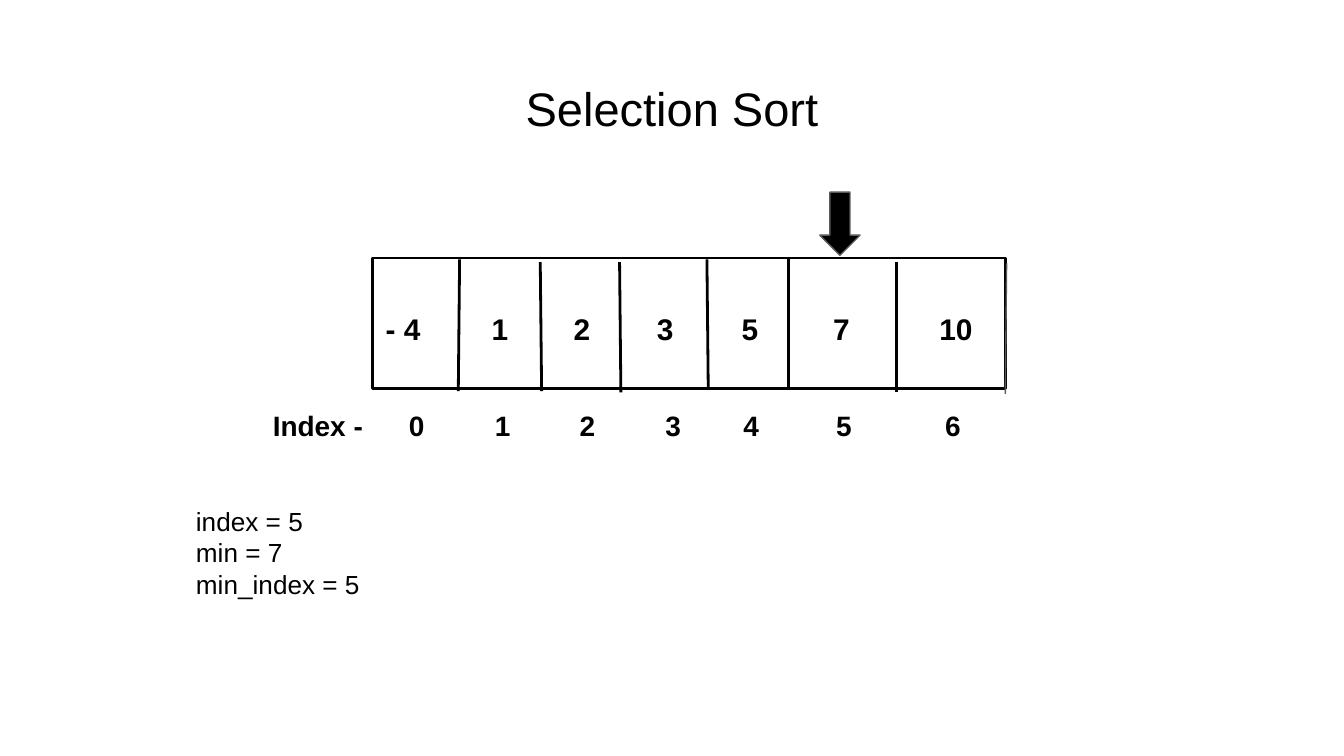
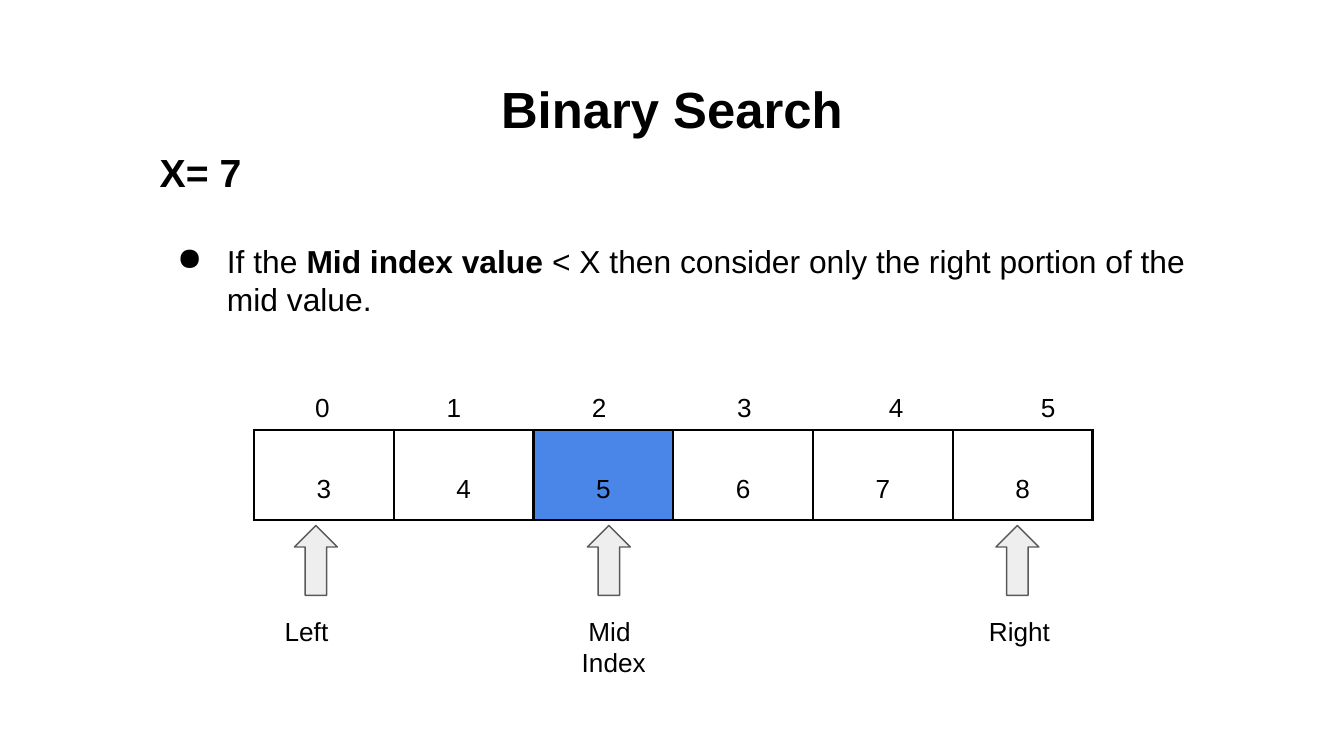
"""Build two slides on sorting and searching an array."""
from dataclasses import dataclass

from lxml import etree
from pptx import Presentation
from pptx.dml.color import RGBColor
from pptx.enum.shapes import MSO_CONNECTOR, MSO_SHAPE
from pptx.enum.text import MSO_ANCHOR, MSO_AUTO_SIZE, PP_ALIGN
from pptx.oxml.ns import qn
from pptx.util import Inches, Pt

STRAIGHT = MSO_CONNECTOR.STRAIGHT
RECTANGLE, DOWN_ARROW, UP_ARROW = MSO_SHAPE.RECTANGLE, MSO_SHAPE.DOWN_ARROW, MSO_SHAPE.UP_ARROW
MIDDLE, TOP = MSO_ANCHOR.MIDDLE, MSO_ANCHOR.TOP
GROW, FIXED = MSO_AUTO_SIZE.SHAPE_TO_FIT_TEXT, MSO_AUTO_SIZE.NONE
CENTER, LEFT = PP_ALIGN.CENTER, PP_ALIGN.LEFT
COLUMNS, ROWS = 100, 56.25


@dataclass(frozen=True)
class Theme:
    """Colours, font, type sizes and line widths of the deck."""
    ink: str = "000000"
    outline: str = "595959"
    pale: str = "EEEEEE"
    highlight: str = "4A86E8"
    font: str = "Arial"
    body: float = 14
    index: float = 15
    value: float = 16
    rule: float = 17
    target: float = 21
    heavy: float = 1.5
    thin: float = 0.75


THEME = Theme()


def grid(*cells):
    """Turn counts of grid columns or rows, a tenth of an inch each, into lengths."""
    return [Inches(cell / 10) for cell in cells]


def apply(target, values):
    """Set every attribute named in a dict of format values."""
    for name, value in values.items():
        setattr(target, name, value)


def color(code):
    """Return a colour from its hexadecimal code."""
    return RGBColor.from_string(code)


def write(para, spans, size, bold=False, align=LEFT):
    """Fill a paragraph with one string or with (text, bold) spans."""
    para.alignment = align
    for text, weight in [(spans, bold)] if isinstance(spans, str) else spans:
        span = para.add_run()
        span.text = text
        apply(span.font, {"name": THEME.font, "size": Pt(size), "bold": weight})
        span.font.color.rgb = color(THEME.ink)


def add_frame(page, place, inset=(1, 1, 1, 1), anchor=TOP, fit=GROW):
    """Add a wrapping text box and return its text frame."""
    frame = page.shapes.add_textbox(*grid(*place)).text_frame
    left, top, right, bottom = grid(*inset)
    apply(frame, {"margin_left": left, "margin_top": top, "margin_right": right,
                  "margin_bottom": bottom, "word_wrap": True,
                  "vertical_anchor": anchor, "auto_size": fit})
    return frame


def add_text(page, place, lines, size, bold=False, inset=(1, 1, 1, 1)):
    """Add a text box with one paragraph per line and return the paragraphs."""
    frame = add_frame(page, place, inset)
    for number, line in enumerate(lines):
        para = frame.add_paragraph() if number else frame.paragraphs[0]
        write(para, line, size, bold)
    return frame.paragraphs


def add_title(page, text, size, bold=False):
    """Add the centred slide title."""
    frame = add_frame(page, (3.4, 4.9, 93.2, 6.3), anchor=MIDDLE, fit=FIXED)
    write(frame.paragraphs[0], text, size, bold, CENTER)


def add_index_row(page, place, text, stops, size, bold=False, inset=(1, 1, 1, 1)):
    """Add a line of index numbers centred on tab stops."""
    para = add_text(page, place, [text], size, bold, inset)[0]
    tabs = etree.SubElement(para._p.get_or_add_pPr(), qn("a:tabLst"))
    for stop in grid(*stops):
        etree.SubElement(tabs, qn("a:tab"), pos=str(stop), algn="ctr")


def add_box(page, kind, place, fill, line, width):
    """Add a preset shape; without a fill it stays hollow."""
    box = page.shapes.add_shape(kind, *grid(*place))
    box.shadow.inherit = False
    if fill:
        box.fill.solid()
        box.fill.fore_color.rgb = color(fill)
    else:
        box.fill.background()
    box.line.color.rgb = color(line)
    box.line.width = Pt(width)


def add_line(page, ends, line, width):
    """Add a straight line without a shadow."""
    divider = page.shapes.add_connector(STRAIGHT, *grid(*ends))
    divider.line.color.rgb = color(line)
    divider.line.width = Pt(width)
    etree.SubElement(divider._element.spPr, qn("a:effectLst"))


def add_bullet(para):
    """Give a paragraph a hanging round bullet."""
    margin, hang = grid(5, -3.7)
    props = para._p.get_or_add_pPr()
    props.set("marL", str(margin))
    props.set("indent", str(hang))
    tint = etree.SubElement(props, qn("a:buClr"))
    etree.SubElement(tint, qn("a:srgbClr"), val=THEME.ink)
    etree.SubElement(props, qn("a:buChar"), char="●")


def add_borders(cell):
    """Draw the four borders of a table cell."""
    props = cell._tc.get_or_add_tcPr()
    for order, side in enumerate("LRTB"):
        border = etree.Element(qn(f"a:ln{side}"), w=str(Pt(THEME.heavy)))
        fill = etree.SubElement(border, qn("a:solidFill"))
        etree.SubElement(fill, qn("a:srgbClr"), val=THEME.ink)
        props.insert(order, border)


def add_array(page, left, top, width, height, values, marked):
    """Add a one-row table of values with one cell highlighted."""
    place = grid(left, top, width * len(values), height)
    table = page.shapes.add_table(1, len(values), *place).table
    apply(table, {"first_row": False, "horz_banding": False})
    inset = Inches(0.1)
    for column, value in enumerate(values):
        cell = table.cell(0, column)
        apply(cell, {"margin_left": inset, "margin_top": inset, "margin_right": inset,
                     "margin_bottom": inset, "vertical_anchor": MIDDLE})
        if column == marked:
            cell.fill.solid()
            cell.fill.fore_color.rgb = color(THEME.highlight)
        else:
            cell.fill.background()
        add_borders(cell)
        para = cell.text_frame.paragraphs[0]
        para.line_spacing = 2.0
        write(para, value, THEME.body, align=CENTER)


def build_selection_sort(page):
    """Show the array while selection sort stands at index 5."""
    add_title(page, "Selection Sort", 25.2)
    add_box(page, RECTANGLE, (27.7, 19.2, 47.1, 9.7), None, THEME.ink, THEME.heavy)
    dividers = [(34.2, 19.3, 34.1, 29.1), (40.2, 19.5, 40.3, 29.1),
                (46.1, 19.5, 46.2, 29.2), (52.6, 19.3, 52.7, 28.9),
                (58.7, 19.2, 58.7, 28.9), (66.7, 19.5, 66.7, 29.2)]
    for ends in dividers:
        add_line(page, ends, THEME.ink, THEME.heavy)
    add_line(page, (74.9, 19.6, 74.8, 29.3), THEME.outline, THEME.thin)

    add_text(page, (25.9, 22.1, 6.7, 4.7), ["- 4"], THEME.value, True, (2.8, 1, 0, 1))
    values = [("1", 35.6, 3), ("2", 41.7, 3), ("3", 47.9, 3),
              ("5", 54.2, 4.5), ("7", 61, 5.6), ("10", 68.9, 4.5)]
    for value, left, width in values:
        add_text(page, (left, 22.1, width, 4.7), [value], THEME.value, True)

    add_text(page, (13.6, 36.6, 39, 9.1),
             ["index = 5", "min = 7", "min_index = 5"], THEME.body)
    add_box(page, DOWN_ARROW, (61, 14.3, 3, 4.7), THEME.ink, THEME.outline, THEME.thin)
    add_index_row(page, (18.2, 29.4, 58.4, 4.5), "Index -\t0\t1\t2\t3\t4\t5\t6",
                  (10.7, 17.1, 23.4, 29.8, 35.6, 42.5, 50.6),
                  THEME.index, True, (2.1, 1, 1, 1))


def build_binary_search(page):
    """Show the step of binary search that keeps the right portion."""
    add_title(page, "Binary Search", 27.2, True)
    frame = add_frame(page, (10.9, 7.6, 80.2, 19.5), (1, 3.4, 1, 1))
    write(frame.paragraphs[0], "X= 7", THEME.target, True)
    rule = frame.add_paragraph()
    rule.space_before = Pt(25)
    write(rule, [("If the ", False), ("Mid index value", True),
                 (" < X then consider only the right portion of the mid value.", False)],
          THEME.rule)
    add_bullet(rule)

    add_array(page, 18.9, 32, 10.4, 6.7, "345678", 2)
    add_index_row(page, (19.8, 28.1, 62.3, 4.4), "\t0\t1\t2\t3\t4\t5",
                  (3.2, 13, 23.8, 34.6, 45.9, 57.2), THEME.body)

    pointers = [("Left", 21.9, 20.2, 6.6, 4.4, 0), ("Right", 74.1, 72.6, 7.2, 4.4, 0),
                ("Mid Index", 43.7, 42.3, 7.2, 6.7, 0.5)]
    for name, arrow, left, width, height, indent in pointers:
        add_box(page, UP_ARROW, (arrow, 39.1, 3.2, 5.2),
                THEME.pale, THEME.outline, THEME.thin)
        para = add_text(page, (left, 44.8, width, height), [name], THEME.body)[0]
        para._p.get_or_add_pPr().set("indent", str(grid(indent)[0]))


def main():
    """Build the deck and save it."""
    deck = Presentation()
    width, height = grid(COLUMNS, ROWS)
    apply(deck, {"slide_width": width, "slide_height": height})
    for build in (build_selection_sort, build_binary_search):
        build(deck.slides.add_slide(deck.slide_layouts[6]))
    deck.save("out.pptx")


if __name__ == "__main__":
    main()
